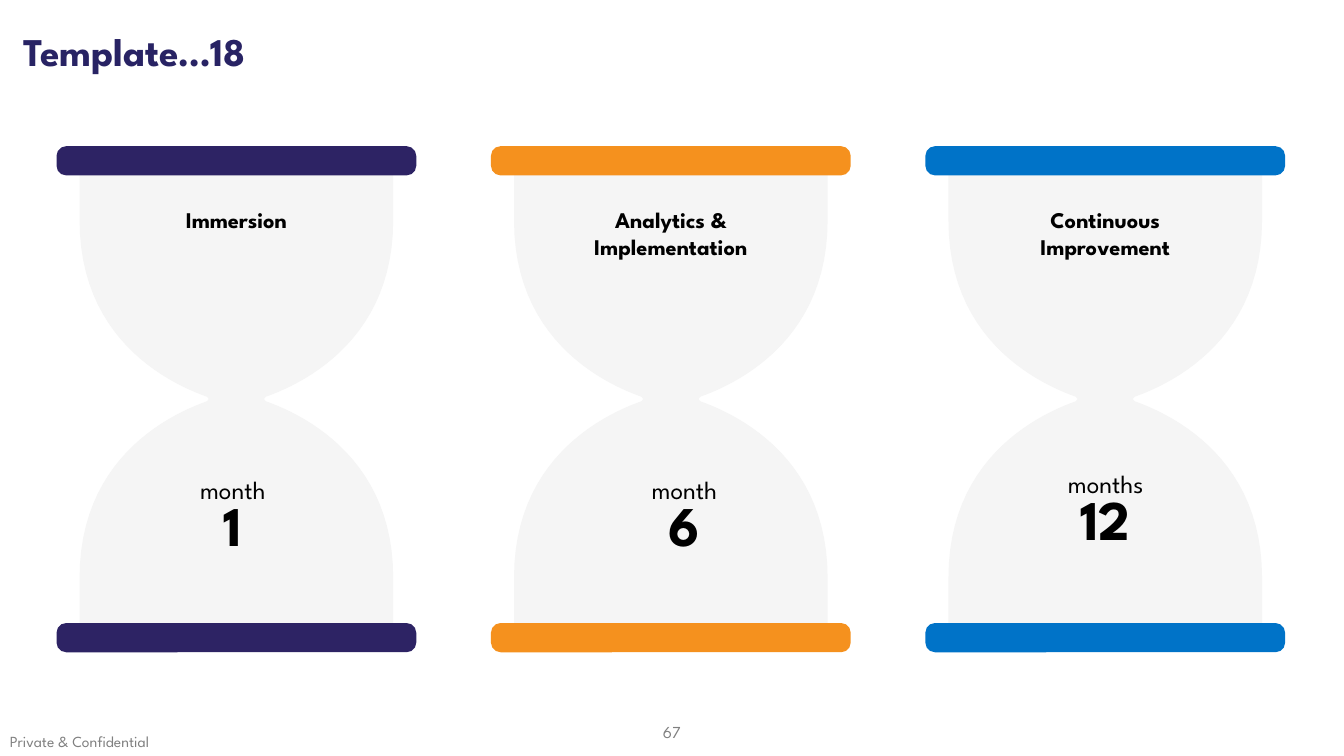
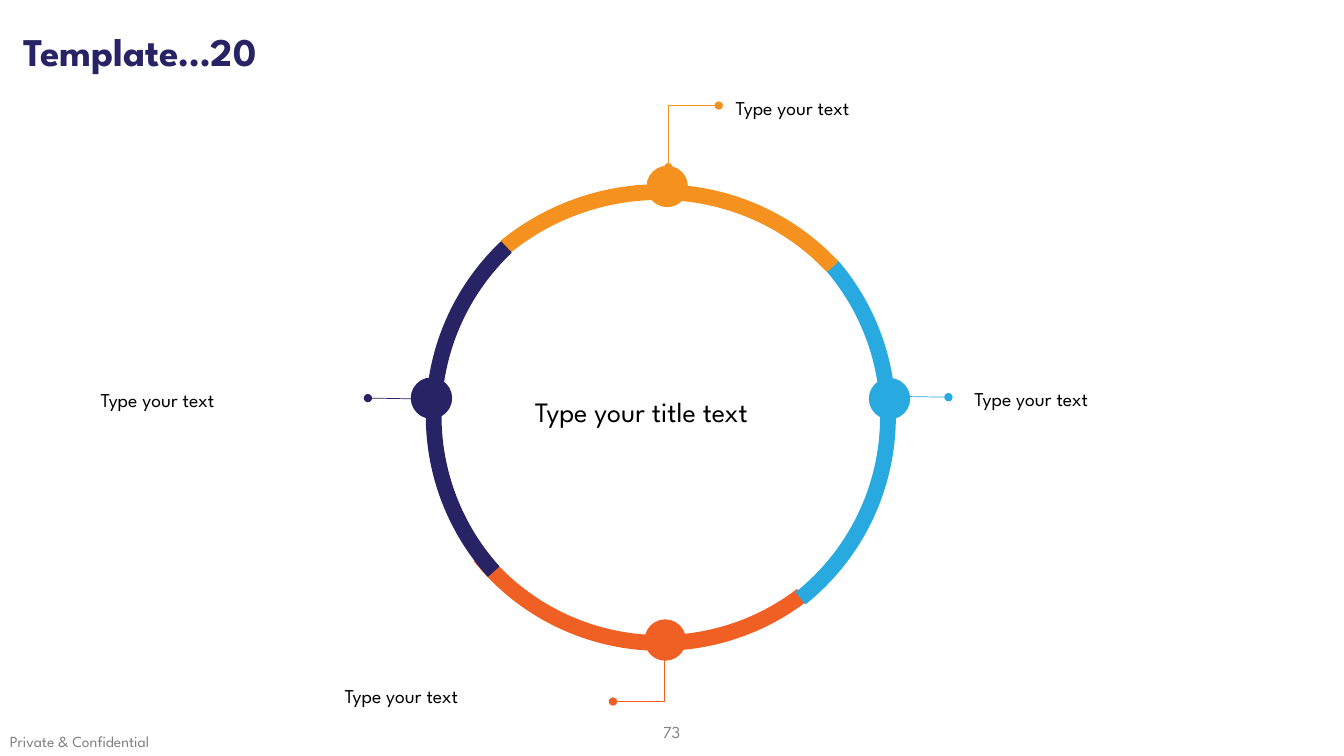
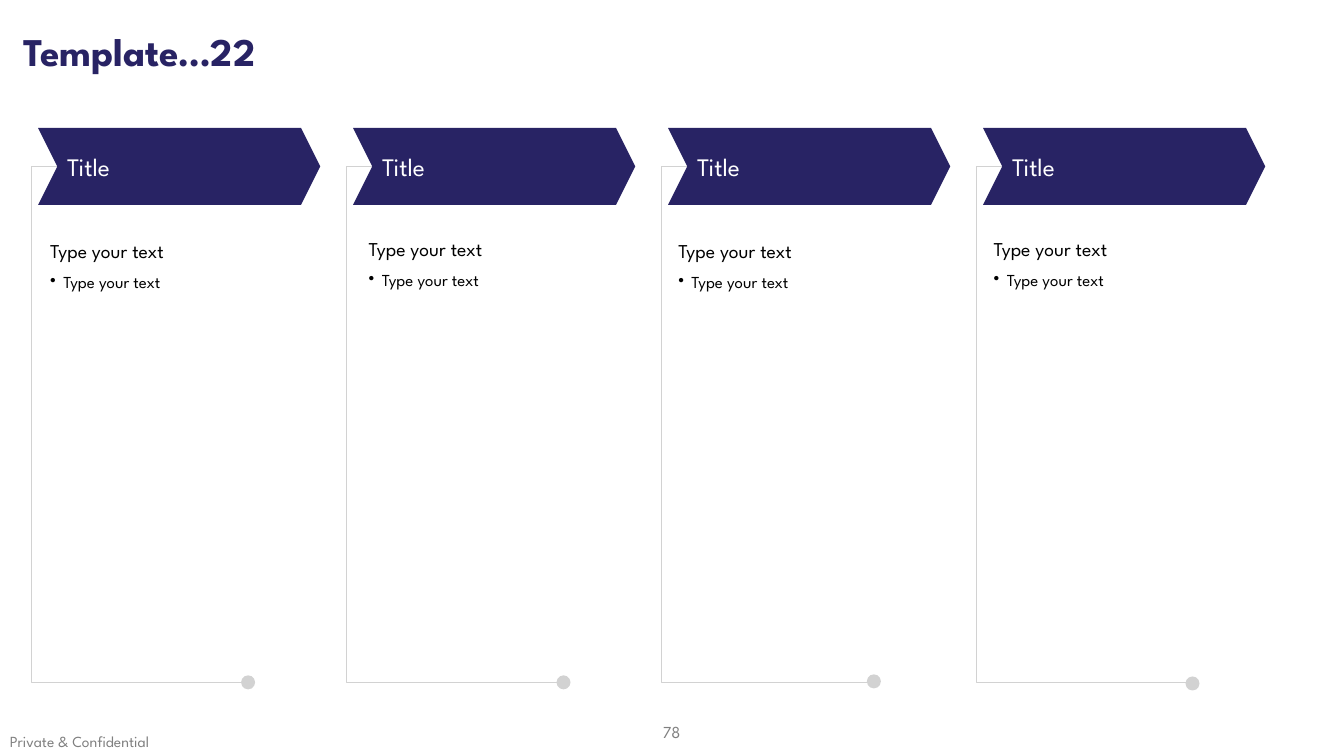
import dataclasses
import lxml.etree
import pptx
import pptx.dml.color
import pptx.enum.shapes
import pptx.enum.text
import pptx.oxml.ns
import pptx.util


@dataclasses.dataclass(frozen=True)
class Theme:
    font: str = "League Spartan"
    navy: str = "282364"
    plum: str = "2D2364"
    orange: str = "F5911E"
    blue: str = "0073C8"
    sky: str = "28AAE1"
    red: str = "F05F23"
    pale: str = "F5F5F5"
    rule: str = "D2D2D2"
    gray: str = "808080"
    black: str = "000000"
    white: str = "FFFFFF"
    # Type sizes
    title: int = 28
    huge: int = 40
    large: int = 20
    label: int = 18
    head: int = 16
    body: int = 14
    small: int = 12
    foot: int = 11


theme = Theme()
Shape = pptx.enum.shapes.MSO_SHAPE
Wire = pptx.enum.shapes.MSO_CONNECTOR
Align = pptx.enum.text.PP_ALIGN
Anchor = pptx.enum.text.MSO_ANCHOR
Fit = pptx.enum.text.MSO_AUTO_SIZE


def draw(page, kind, box, fill=None, line=None):
    """Add a shape with a flat fill, or a text box when kind is None."""
    place = [pptx.util.Pt(v) for v in box]
    if kind is None:
        return page.shapes.add_textbox(*place)
    shape = page.shapes.add_shape(kind, *place)
    shape.shadow.inherit = False
    shape.fill.solid()
    shape.fill.fore_color.rgb = pptx.dml.color.RGBColor.from_string(fill)
    if line:
        shape.line.color.rgb = pptx.dml.color.RGBColor.from_string(fill)
        shape.line.width = pptx.util.Pt(line)
    else:
        shape.line.fill.background()
    return shape


def say(shape, text, size=theme.body, color=theme.black, bold=False,
        align=Align.LEFT, space=1, anchor=Anchor.TOP, wrap=True,
        fit=Fit.SHAPE_TO_FIT_TEXT, bullet=False):
    """Add one paragraph to a shape."""
    frame = shape.text_frame
    para = frame.add_paragraph() if frame.text else frame.paragraphs[0]
    frame.word_wrap, frame.auto_size = wrap, fit
    frame.vertical_anchor = anchor
    para.alignment, para.line_spacing = align, space
    if bullet:
        props = para._p.get_or_add_pPr()
        props.set("marL", str(pptx.util.Pt(9.4)))
        props.set("indent", str(-pptx.util.Pt(9.4)))
        mark = lxml.etree.SubElement(props, pptx.oxml.ns.qn("a:buChar"))
        mark.set("char", "•")
    run = para.add_run()
    run.text = text
    run.font.name, run.font.size = theme.font, pptx.util.Pt(size)
    run.font.bold = bold
    run.font.color.rgb = pptx.dml.color.RGBColor.from_string(color)


deck = pptx.Presentation()
deck.slide_width, deck.slide_height = pptx.util.Pt(960), pptx.util.Pt(540)

# Title and footer of each page
pages = []
for title, number in (("Template…18", "67"), ("Template…20", "73"),
                      ("Template…22", "78")):
    page = deck.slides.add_slide(deck.slide_layouts[5])
    pages.append(page)
    head = page.shapes.title
    head.left, head.top = pptx.util.Pt(0), pptx.util.Pt(0.7)
    head.width, head.height = pptx.util.Pt(960), pptx.util.Pt(75.6)
    head.text_frame.margin_left = pptx.util.Pt(16.6)
    say(head, title, size=theme.title, color=theme.navy, bold=True,
        space=0.9, anchor=Anchor.MIDDLE, fit=Fit.NONE)
    say(draw(page, None, (458.6, 508.3, 42.5, 28.8)), number,
        size=theme.small, color=theme.gray, align=Align.CENTER,
        anchor=Anchor.MIDDLE, fit=Fit.NONE)
    say(draw(page, None, (0, 519.1, 239, 20.9)), "Private & Confidential",
        size=theme.foot, color=theme.gray)
glass, ring, steps = pages

# Lines behind the shapes: page, ends, colour, width, bend, dots
pitch = 225
wires = [
    (ring, (477.4, 119.5, 513.4, 75.4), theme.orange, 0.5, 0, True),
    (ring, (437.8, 501.1, 474.5, 456.5), theme.red, 0.5, 1, True),
    (ring, (309.6, 285.1, 262.8, 284.4), theme.navy, 0.5, None, True),
    (ring, (677.5, 283.7, 630.7, 283), theme.sky, 0.5, None, True),
]
for i in range(4):
    left = 44.8 + pitch * i
    wires.append((steps, (left, 118.9, left + 132, 487.4),
                  theme.rule, 1, -0.17, False))
for page, ends, color, width, bend, dots in wires:
    kind = Wire.STRAIGHT if bend is None else Wire.ELBOW
    wire = page.shapes.add_connector(kind, *[pptx.util.Pt(v) for v in ends])
    wire.line.color.rgb = pptx.dml.color.RGBColor.from_string(color)
    wire.line.width = pptx.util.Pt(width)
    props = wire._element.spPr
    if bend is not None:
        guides = props.find(".//" + pptx.oxml.ns.qn("a:avLst"))
        lxml.etree.SubElement(guides, pptx.oxml.ns.qn("a:gd"), name="adj1",
                              fmla=f"val {round(bend * 100000)}")
    if dots:
        for tag in ("a:headEnd", "a:tailEnd"):
            lxml.etree.SubElement(props.find(pptx.oxml.ns.qn("a:ln")),
                                  pptx.oxml.ns.qn(tag), type="oval")
    lxml.etree.SubElement(props, pptx.oxml.ns.qn("a:effectLst"))

# Hourglasses: one curved quarter, mirrored about the centre
curve = [(0, 32.4), (0, 114.5), (59, 147), (91, 158.4)]
quarter = [(0, 0)]
for step in range(25):
    t = step / 24
    parts = ((1 - t) ** 3, 3 * t * (1 - t) ** 2, 3 * t * t * (1 - t), t ** 3)
    quarter.append(tuple(sum(p * c[axis] for p, c in zip(parts, curve))
                         for axis in (0, 1)))
quarter.append((92.3, 160))
side = [(x - 112, y - 160) for x, y in quarter]
side += [(x, -y) for x, y in reversed(side)]
outline = side + [(-x, y) for x, y in reversed(side)]

for i, (color, lines, unit, count, mid, top) in enumerate((
        (theme.plum, ["Immersion"], "month", "1", 166.3, 339.1),
        (theme.orange, ["Analytics &", "Implementation"], "month", "6",
         488.9, 339.1),
        (theme.blue, ["Continuous", "Improvement"], "months", "12",
         789.8, 334.8))):
    center = 168.9 + 310.3 * i
    points = [(pptx.util.Pt(center + x), pptx.util.Pt(285 + y))
              for x, y in outline]
    path = glass.shapes.build_freeform(*points[0])
    path.add_line_segments(points[1:])
    body = path.convert_to_shape()
    body.shadow.inherit = False
    body.fill.solid()
    body.fill.fore_color.rgb = pptx.dml.color.RGBColor.from_string(theme.pale)
    body.line.fill.background()
    for edge in (104.4, 445):
        bar = draw(glass, Shape.ROUNDED_RECTANGLE,
                   (center - 128.5, edge, 257, 20.9), color)
        bar.adjustments[0] = 0.33
    name = draw(glass, None, (center - 112, 144, 224, 46))
    for line in lines:
        say(name, line, size=theme.head, bold=True, align=Align.CENTER)
    span = draw(glass, None, (mid - 36, top, 72, 63.4))
    say(span, unit, size=theme.label, align=Align.CENTER, space=0.8,
        wrap=False)
    say(span, count, size=theme.huge, bold=True, align=Align.CENTER,
        space=0.8, wrap=False)

# Ring: box, turn, start and end angle, thickness
for color, box, turn, start, end, thick in (
        (theme.red, (301, 122.4, 342, 342), 113.4, 299.32, 27.6, 0.03),
        (theme.sky, (297.4, 126.7, 342, 342), 25, 294.45, 26.27, 0.03),
        (theme.orange, (297.4, 128.2, 342, 350.6), 251, 338.96, 67.08, 0.03),
        (theme.navy, (304.6, 126, 342, 342), 162.6, 335.41, 63.89, 0.03)):
    arc = draw(ring, Shape.BLOCK_ARC, box, color, line=1)
    arc.rotation = turn
    # Angles are stored in sixtieths of a thousandth of a degree
    for k, value in enumerate((start * 0.6, end * 0.6, thick)):
        arc.adjustments[k] = value

# Ring knobs with their labels
for color, x, y, left, top in (
        (theme.navy, 308.2, 284.4, 64.8, 273.6),
        (theme.orange, 476.6, 133.2, 518.4, 64.8),
        (theme.red, 475.2, 457.2, 239, 485.3),
        (theme.sky, 635.4, 284.8, 689, 272.9)):
    draw(ring, Shape.OVAL, (x - 14.4, y - 14.4, 28.8, 28.8), color, line=0.75)
    say(draw(ring, None, (left, top, 195, 23.8)), "Type your text")
say(draw(ring, None, (375, 278.6, 201, 31.7)), "Type your title text",
    size=theme.large)

# Steps: chevron, note and end dot
for i, (left, top, x, y) in enumerate((
        (28.8, 158.4, 177.2, 487.4), (256.3, 157, 402.5, 487.4),
        (477.4, 158.4, 624.2, 486.7), (702.7, 157, 851.8, 488.2))):
    arrow = draw(steps, Shape.CHEVRON, (27.2 + pitch * i, 91.4, 201.6, 55),
                 theme.navy)
    arrow.adjustments[0] = 0.25
    say(arrow, "Title", size=theme.label, color=theme.white,
        anchor=Anchor.MIDDLE, fit=Fit.NONE)
    note = draw(steps, None, (left, top, 206, 51.8))
    say(note, "Type your text", space=1.5)
    say(note, "Type your text", size=theme.small, space=1.5, bullet=True)
    draw(steps, Shape.OVAL, (x - 5, y - 5, 10, 10), theme.rule)

deck.save("out.pptx")
